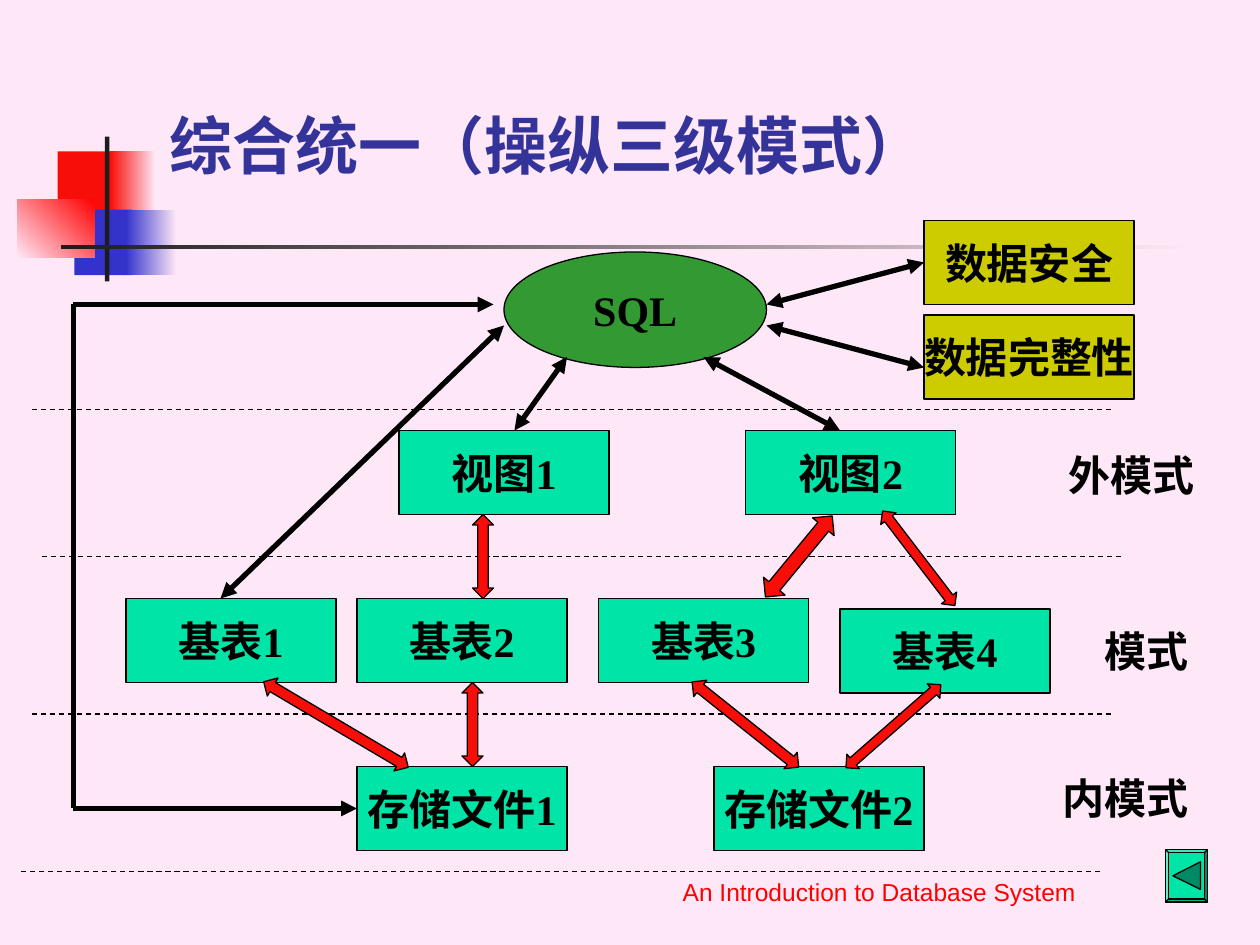
from lxml import etree
from pptx import Presentation
from pptx.dml.color import RGBColor
from pptx.enum.dml import MSO_LINE_DASH_STYLE as Dash
from pptx.enum.shapes import MSO_CONNECTOR, MSO_SHAPE as Shape
from pptx.enum.text import MSO_ANCHOR as Anchor, MSO_AUTO_SIZE as AutoSize, PP_ALIGN as Align
from pptx.oxml.ns import qn
from pptx.util import Pt

COLORS = {
    "background": "FEE8F7", "title": "333399", "red": "F80E08", "bright_red": "FF0000",
    "blue": "3333CC", "charcoal": "1C1C1C", "black": "000000", "sql": "339933",
    "schema": "00E4A8", "control": "CCCC00", "button_arrow": "008965",
}
TITLE = "综合统一（操纵三级模式）"
FOOTER = "An Introduction to Database System"
BODY_FONT = "Times New Roman"

# left, top, width, height, solid color or (start color, end color, angle)
DECORATIONS = [
    (33, 86.5, 35, 37.5, "red"),
    (63, 86.5, 26, 37.5, ("background", "red", 180)),
    (42.5, 119.75, 33, 37.5, "blue"),
    (72, 119.75, 29, 37.5, ("background", "blue", 180)),
    (9.75, 113.75, 44.5, 33.5, ("bright_red", "background", 225)),
    (60, 78, 2.5, 82.75, "charcoal"),
    (35, 140, 648, 2.5, ("background", "charcoal", 180)),
]

BOX_WIDTH, BOX_HEIGHT = 120, 48
BOXES = [  # text, left, top, color
    ("视图1", 228, 246, "schema"), ("视图2", 426, 246, "schema"),
    ("基表1", 72, 342, "schema"), ("基表2", 204, 342, "schema"),
    ("基表3", 342, 342, "schema"), ("基表4", 480, 348, "schema"),
    ("存储文件1", 204, 438, "schema"), ("存储文件2", 408, 438, "schema"),
    ("数据安全", 528, 126, "control"), ("数据完整性", 528, 180, "control"),
]
LEVEL_LABELS = [  # text, left, top, width
    ("外模式", 603.5, 253.5, 86.5), ("模式", 624, 354, 62), ("内模式", 600, 438, 86.5),
]
DIVIDER_LENGTH = 618
DIVIDERS = [(18, 234), (24, 318), (18, 408), (12, 498)]  # left, y

# center x, center y, width, length, rotation, head length / width
SHAFT_RATIO = 0.5
BLOCK_ARROWS = [
    (276, 318, 12, 48, 0, 0.8), (456.5, 318, 16, 60, 39.5, 0.76),
    (525, 319, 11, 68, 322.6, 1.25), (192, 414, 12, 96, 300.6, 1.59),
    (270, 414, 12, 48, 0, 0.8), (426, 414, 12, 78, 308.6, 1.3),
    (510.5, 415, 11, 72, 48.8, 1.32),
]
# start, end, head at start, head at end, box whose left side the start joins
LINKS = [
    ((324, 204), (294, 246), True, True, None),
    ((402, 204), (480, 246), True, True, None),
    ((288, 186), (126, 342), True, True, None),
    ((204, 462), (42, 462), True, False, "存储文件1"),
    ((282, 174), (42, 174), True, False, None),
    ((42, 174), (42, 462), False, False, None),
    ((528, 150), (438, 174), True, True, "数据安全"),
    ((528, 210), (438, 186), True, True, None),
]


def rgb(name):
    return RGBColor.from_string(COLORS[name])


def add_shape(slide, kind, left, top, width, height, fill, outlined=True):
    shape = slide.shapes.add_shape(kind, Pt(left), Pt(top), Pt(width), Pt(height))
    style_shape(shape, fill, outlined)
    return shape


def style_shape(shape, fill, outlined=True):
    shape.shadow.inherit = False
    if isinstance(fill, tuple):
        *stop_colors, angle = fill
        shape.fill.gradient()
        shape.fill.gradient_angle = angle
        for stop, color in zip(shape.fill.gradient_stops, stop_colors):
            stop.color.rgb = rgb(color)
    else:
        shape.fill.solid()
        shape.fill.fore_color.rgb = rgb(fill)
    if outlined:
        shape.line.color.rgb = rgb("black")
        shape.line.width = Pt(0.75)
    else:
        shape.line.fill.background()


def write(shape, text, size=24, font=BODY_FONT, color="black", bold=True,
          align=Align.CENTER, anchor=Anchor.MIDDLE, wrap=False):
    frame = shape.text_frame
    frame.text = text
    frame.word_wrap = wrap
    frame.auto_size = AutoSize.NONE
    frame.vertical_anchor = anchor
    paragraph = frame.paragraphs[0]
    paragraph.alignment = align
    run_font = paragraph.runs[0].font
    run_font.size, run_font.name, run_font.bold = Pt(size), font, bold
    run_font.color.rgb = rgb(color)


def add_line(slide, start, end, width):
    line = slide.shapes.add_connector(
        MSO_CONNECTOR.STRAIGHT, *(Pt(value) for value in (*start, *end)))
    line.line.color.rgb = rgb("black")
    line.line.width = Pt(width)
    etree.SubElement(line._element.spPr, qn("a:effectLst"))
    return line


def add_heads(line, at_start, at_end):
    outline = line.line._get_or_add_ln()
    for tag, wanted in (("a:headEnd", at_start), ("a:tailEnd", at_end)):
        if wanted:
            etree.SubElement(outline, qn(tag), type="triangle")


def add_block_arrow(slide, x, y, width, length, rotation, head_ratio):
    """Draw a double-headed arrow around its center; its first adjustment is the head."""
    arrow = add_shape(slide, Shape.UP_DOWN_ARROW, x - width / 2, y - length / 2,
                      width, length, "red")
    arrow.rotation = rotation
    arrow.adjustments[0], arrow.adjustments[1] = head_ratio, SHAFT_RATIO


def add_back_button(slide):
    button = add_shape(slide, Shape.BEVEL, 666, 485.5, 24, 30, "schema")
    button.adjustments[0] = 0.07
    builder = slide.shapes.build_freeform(Pt(670.25), Pt(500.5))
    builder.add_line_segments([(Pt(686), Pt(492.5)), (Pt(686), Pt(508.25))])
    style_shape(builder.convert_to_shape(), "button_arrow")


def main():
    presentation = Presentation()
    presentation.slide_width, presentation.slide_height = Pt(720), Pt(540)
    slide = presentation.slides.add_slide(presentation.slide_layouts[5])
    slide.background.fill.solid()
    slide.background.fill.fore_color.rgb = rgb("background")

    for left, top, width, height, fill in DECORATIONS:
        add_shape(slide, Shape.RECTANGLE, left, top, width, height, fill, outlined=False)

    title = slide.shapes.title
    title.left, title.top, title.width, title.height = Pt(89.5), Pt(59.5), Pt(613.5), Pt(48)
    write(title, TITLE, 36, "Cabin", "title", align=Align.LEFT, anchor=Anchor.BOTTOM, wrap=True)

    for left, y in DIVIDERS:
        divider = add_line(slide, (left, y), (left + DIVIDER_LENGTH, y), 0.75)
        divider.line.dash_style = Dash.DASH

    write(add_shape(slide, Shape.OVAL, 288, 144, 150, 66, "sql"), "SQL")
    boxes = {}
    for text, left, top, color in BOXES:
        boxes[text] = add_shape(slide, Shape.RECTANGLE, left, top, BOX_WIDTH, BOX_HEIGHT, color)
        write(boxes[text], text)

    for block_arrow in BLOCK_ARROWS:
        add_block_arrow(slide, *block_arrow)

    for text, left, top, width in LEVEL_LABELS:
        label = slide.shapes.add_textbox(Pt(left), Pt(top), Pt(width), Pt(36))
        write(label, text, anchor=Anchor.TOP)

    for start, end, head_at_start, head_at_end, box in LINKS:
        link = add_line(slide, start, end, 3)
        add_heads(link, head_at_start, head_at_end)
        if box:
            link.begin_connect(boxes[box], 1)

    add_back_button(slide)
    footer = slide.shapes.add_textbox(Pt(314.5), Pt(485.5), Pt(376), Pt(36))
    write(footer, FOOTER, 14, "Arial", "bright_red", bold=False, anchor=Anchor.BOTTOM, wrap=True)
    presentation.save("out.pptx")


if __name__ == "__main__":
    main()
